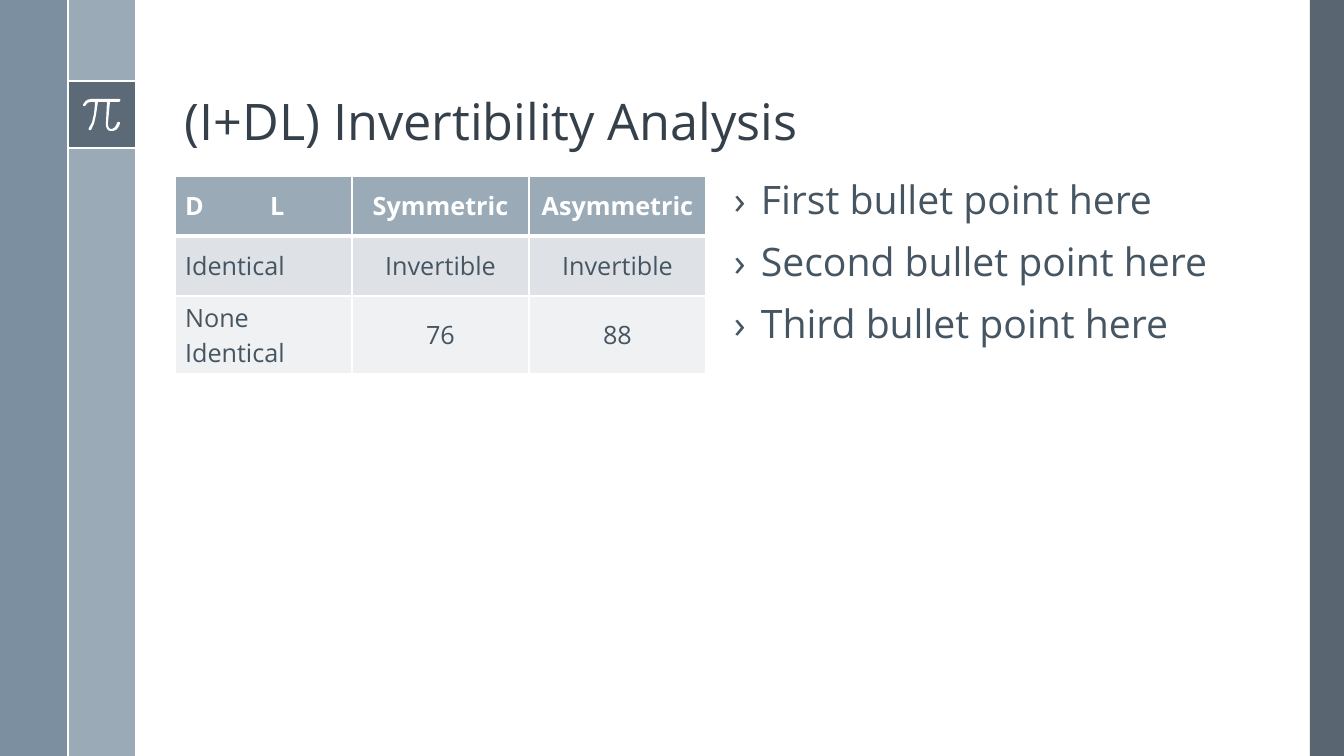
"""Build the (I+DL) invertibility slide with its side bars, table and bullet list."""
from lxml.etree import SubElement
from pptx import Presentation
from pptx.dml.color import RGBColor
from pptx.enum.shapes import MSO_CONNECTOR, MSO_SHAPE
from pptx.enum.text import MSO_ANCHOR, PP_ALIGN
from pptx.oxml.ns import qn
from pptx.util import Pt

PX = 914400 / 100.8
FONT = "Open Sans"
COLORS = {
    "white": "FFFFFF", "title": "35404A", "body": "465562", "dark": "475562",
    "blue": "6A8093", "header": "9BAAB7", "odd row": "DEE2E6", "even row": "EFF1F3",
}


def px(*lengths):
    return [round(length * PX) for length in lengths]


def style(paragraph, size, color, bold=False):
    for run in paragraph.runs:
        run.font.name, run.font.size, run.font.bold = FONT, Pt(size), bold
        run.font.color.rgb = RGBColor.from_string(COLORS[color])


deck = Presentation()
deck.slide_width, deck.slide_height = px(1344, 756)
slide = deck.slides.add_slide(deck.slide_layouts[6])
shapes = slide.shapes

for box, color, opacity in [
    ((1310, 0, 34, 756), "dark", 90),
    ((68, 0, 67, 756), "header", 100),
    ((0, 0, 68, 756), "blue", 88),
    ((68, 81, 67, 67), "dark", 75),
]:
    bar = shapes.add_shape(MSO_SHAPE.RECTANGLE, *px(*box))
    bar.shadow.inherit = False
    bar.fill.solid()
    bar.fill.fore_color.rgb = RGBColor.from_string(COLORS[color])
    bar.line.fill.background()
    if opacity < 100:
        tint = bar.fill._xPr.find(".//" + qn("a:srgbClr"))
        SubElement(tint, qn("a:alpha"), val=str(opacity * 1000))

for ends in [(68, 81, 135, 81), (68, 148, 135, 148), (68, 0, 68, 756)]:
    rule = shapes.add_connector(MSO_CONNECTOR.STRAIGHT, *px(*ends))
    rule.line.color.rgb = RGBColor.from_string(COLORS["white"])
    rule.line.width = Pt(1.5)
    SubElement(rule._element.spPr, qn("a:effectLst"))

pi_curves = [
    [(91, 99)], [(86, 99), (84, 103), (83, 105)], [(83, 106), (85, 107), (86, 105)],
    [(86, 105), (87, 102), (91, 102)], [(95, 102)], [(95, 106), (94, 123), (89, 128)],
    [(88, 129), (89, 131), (91, 130)], [(96, 124), (97, 106), (98, 102)], [(107, 102)],
    [(106, 123)], [(106, 123), (105, 127), (108, 130)], [(109, 131), (111, 131), (113, 131)],
    [(118, 131), (120, 124), (120, 123)], [(120, 122), (118, 121), (117, 123)],
    [(117, 123), (116, 128), (112, 129)], [(108, 130), (108, 125), (108, 123)],
    [(110, 102)], [(119, 102)], [(121, 101), (121, 99), (119, 99)],
]
here = (119, 99)
pi_outline = []
for curve in pi_curves:
    if len(curve) == 1:
        pi_outline.append(px(*curve[0]))
    else:
        for t in (0.25, 0.5, 0.75, 1):
            weights = ((1 - t) ** 3, 3 * t * (1 - t) ** 2, 3 * t * t * (1 - t), t ** 3)
            pi_outline.append(px(*[
                sum(w * point[axis] for w, point in zip(weights, [here, *curve]))
                for axis in (0, 1)
            ]))
    here = curve[-1]
builder = shapes.build_freeform(*px(119, 99))
builder.add_line_segments(pi_outline, close=True)
pi_sign = builder.convert_to_shape()
pi_sign.shadow.inherit = False
pi_sign.fill.solid()
pi_sign.fill.fore_color.rgb = RGBColor.from_string(COLORS["white"])
pi_sign.line.fill.background()

title = shapes.add_textbox(*px(175, 19, 1079, 137)).text_frame
title.word_wrap = True
title.vertical_anchor = MSO_ANCHOR.BOTTOM
title.text = "(I+DL) Invertibility Analysis"
title.paragraphs[0].line_spacing = 0.9
style(title.paragraphs[0], 36, "title")

findings = [
    ("D\tL", "Symmetric", "Asymmetric"),
    ("Identical", "Invertible", "Invertible"),
    ("None Identical", "76", "88"),
]
row_fills = ["header", "odd row", "even row"]
analysis = shapes.add_table(3, 3, *px(175, 176, 531, 198)).table
for column in analysis.columns:
    column.width = px(177)[0]
for row, height in zip(analysis.rows, (60, 60, 78)):
    row.height = px(height)[0]
for r, texts in enumerate(findings):
    for c, text in enumerate(texts):
        cell = analysis.cell(r, c)
        cell.vertical_anchor = MSO_ANCHOR.MIDDLE
        paragraph = cell.text_frame.paragraphs[0]
        paragraph.text = text
        paragraph.alignment = PP_ALIGN.CENTER if c else PP_ALIGN.LEFT
        style(paragraph, 18, "body" if r else "white", bold=r == 0)
        if "\t" in text:
            stops = SubElement(paragraph._p.get_or_add_pPr(), qn("a:tabLst"))
            SubElement(stops, qn("a:tab"), pos=str(px(85)[0]), algn="l")
        properties = cell._tc.get_or_add_tcPr()
        for side in ("L", "R", "T", "B"):
            heavy = (side == "B" and r == 0) or (side == "T" and r == 1)
            border = SubElement(properties, qn("a:ln" + side), w=str(Pt(3 if heavy else 1)))
            paint = SubElement(border, qn("a:solidFill"))
            SubElement(paint, qn("a:srgbClr"), val=COLORS["white"])
        cell.fill.solid()
        cell.fill.fore_color.rgb = RGBColor.from_string(COLORS[row_fills[r]])

bullets = shapes.add_textbox(*px(724, 176, 531, 504)).text_frame
bullets.word_wrap = True
bullets.text = "\n".join(f"{place} bullet point here" for place in ("First", "Second", "Third"))
for paragraph in bullets.paragraphs:
    paragraph.line_spacing = 0.9
    paragraph.space_before = Pt(14)
    style(paragraph, 28, "body")
    indent = px(27)[0]
    properties = paragraph._p.get_or_add_pPr()
    properties.set("marL", str(indent))
    properties.set("indent", str(-indent))
    SubElement(properties, qn("a:buFont"), typeface=FONT)
    SubElement(properties, qn("a:buChar"), char="›")

deck.save("out.pptx")
